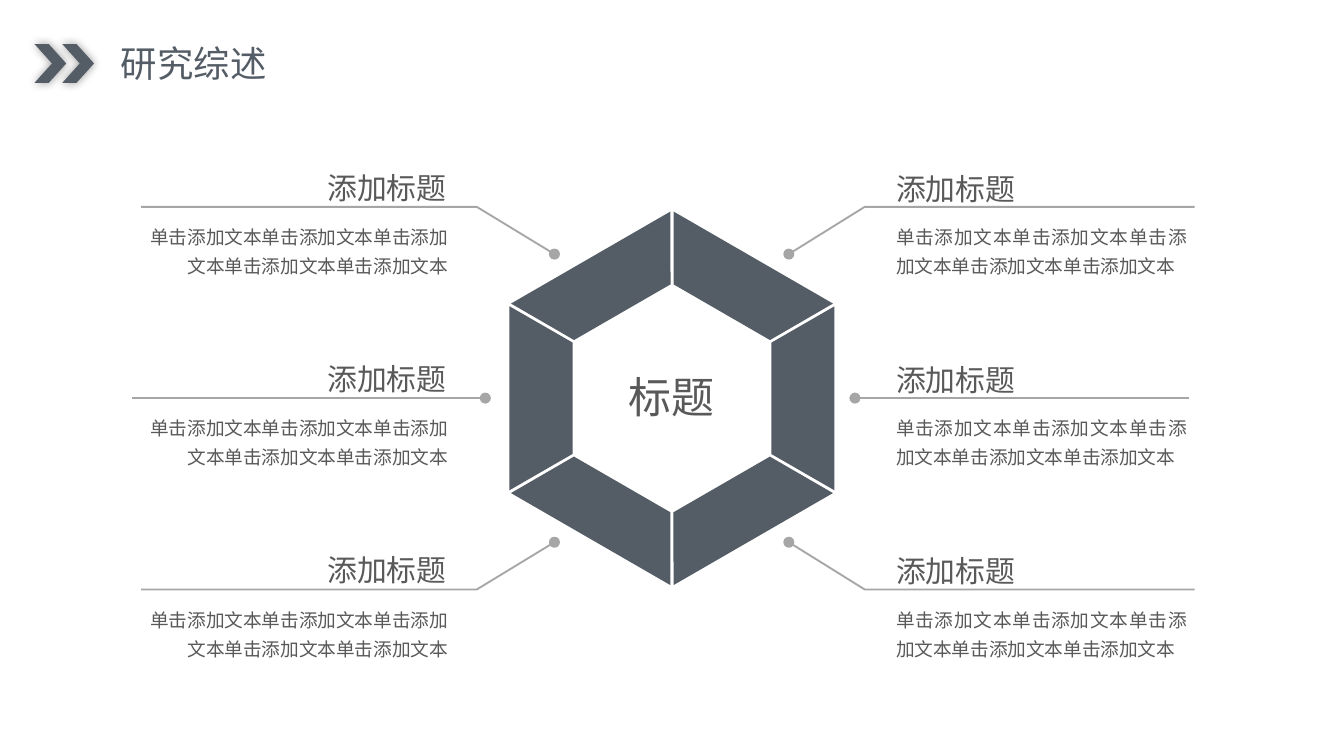
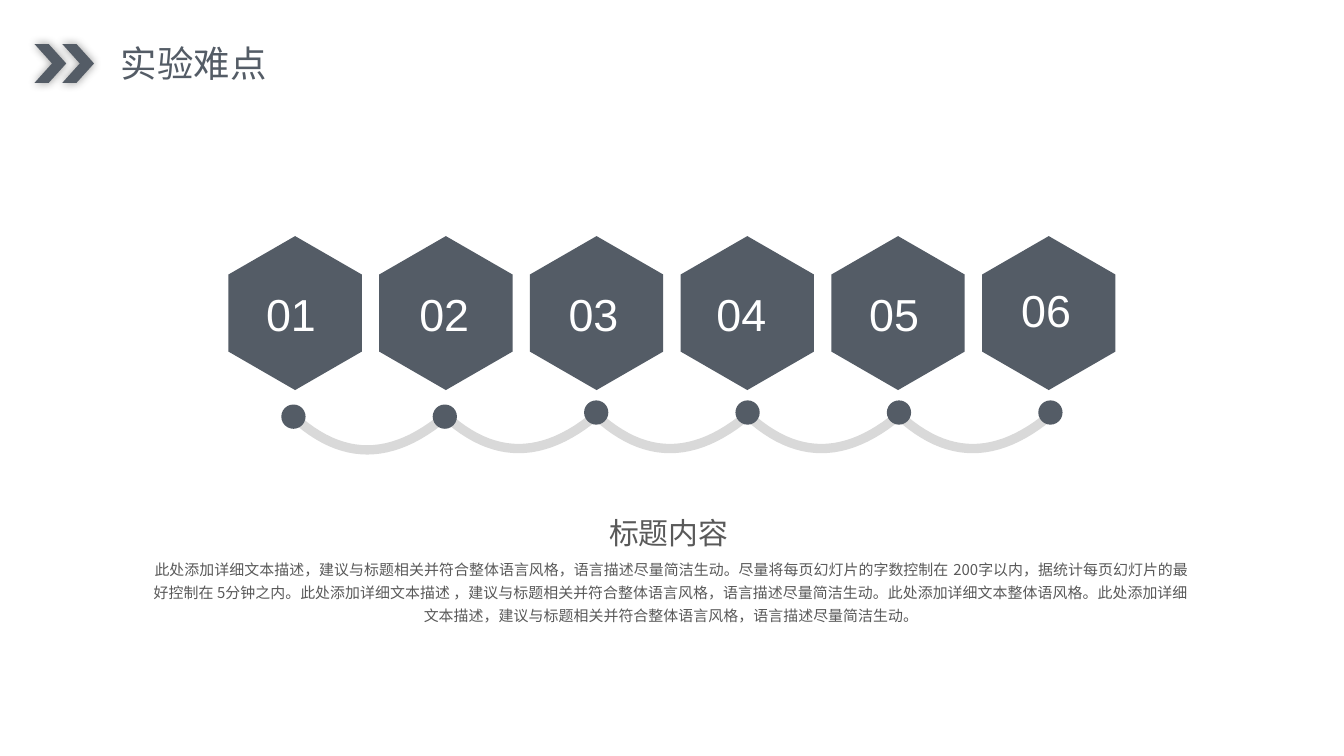
from math import cos, radians, sin

from lxml.etree import SubElement
from pptx import Presentation
from pptx.dml.color import RGBColor
from pptx.enum.shapes import MSO_CONNECTOR as Connector, MSO_SHAPE as Shape
from pptx.enum.text import MSO_ANCHOR as Anchor, MSO_AUTO_SIZE as AutoSize, PP_ALIGN as Align
from pptx.oxml.ns import qn
from pptx.util import Pt

COLORS = {
    "slate": "545C66",
    "text": "595959",
    "leader": "A6A6A6",
    "arc": "D9D9D9",
    "white": "FFFFFF",
    "black": "000000",
}
CJK_FONT = "Noto Sans CJK SC"
DEFAULT_INSETS = (7.2, 3.6)


def add_text(slide, box, text, size, color="text", font=CJK_FONT, align=Align.LEFT,
             spacing=1.0, insets=DEFAULT_INSETS, anchor=Anchor.TOP, wrap=True, grow=True):
    text_frame = slide.shapes.add_textbox(*map(Pt, box)).text_frame
    text_frame.text = text
    text_frame.word_wrap = wrap
    text_frame.auto_size = AutoSize.SHAPE_TO_FIT_TEXT if grow else AutoSize.NONE
    text_frame.vertical_anchor = anchor
    text_frame.margin_left = text_frame.margin_right = Pt(insets[0])
    text_frame.margin_top = text_frame.margin_bottom = Pt(insets[1])
    paragraph = text_frame.paragraphs[0]
    paragraph.alignment = align
    paragraph.line_spacing = spacing
    run = paragraph.runs[0]
    run.font.size = Pt(size)
    run.font.color.rgb = RGBColor.from_string(COLORS[color])
    run.font.name = font
    SubElement(run.font._element, qn("a:ea"), typeface=font)


def add_outline(slide, points, fill=None, line=None, width=1):
    """Draw a closed filled outline, or an open line when no fill is given."""
    points = [(Pt(x), Pt(y)) for x, y in points]
    builder = slide.shapes.build_freeform(*points[0])
    builder.add_line_segments(points[1:], close=fill is not None)
    shape = builder.convert_to_shape()
    shape.shadow.inherit = False
    if fill:
        shape.fill.solid()
        shape.fill.fore_color.rgb = RGBColor.from_string(COLORS[fill])
        shape.line.fill.background()
    else:
        shape.fill.background()
        shape.line.color.rgb = RGBColor.from_string(COLORS[line])
        shape.line.width = Pt(width)
    return shape


presentation = Presentation()
presentation.slide_width = Pt(720)
presentation.slide_height = Pt(405)

# Shared header: two shadowed chevrons and the slide title
slides = []
for title in ("研究综述", "实验难点"):
    slide = presentation.slides.add_slide(presentation.slide_layouts[6])
    slides.append(slide)
    for left in (33.4, 18.5):
        chevron = add_outline(slide, [
            (left + x, y) for x, y in
            ((0, 23.6), (7.6, 23.6), (17, 34), (7.6, 44.4), (0, 44.4), (9.4, 34))
        ], fill="slate")
        effects = chevron._element.spPr.find(qn("a:effectLst"))
        shadow = SubElement(effects, qn("a:outerShdw"), blurRad=str(Pt(5)), dist="0", dir="0",
                            algn="ctr", rotWithShape="0")
        shadow_color = SubElement(shadow, qn("a:srgbClr"), val=COLORS["black"])
        SubElement(shadow_color, qn("a:alpha"), val="40000")
    add_text(slide, (57.6, 18.7, 93.6, 31), title, 19.5, "slate", wrap=False)
review_slide, difficulty_slide = slides

# Slide 1: hexagonal ring of six trapezoids
CENTER_X, CENTER_Y, RING_RADIUS = 360, 213.4, 70.2
PIECE_WIDTH, PIECE_HEIGHT = 98.6, 33.8
for rotation in range(30, 360, 60):
    x = CENTER_X - RING_RADIUS * sin(radians(rotation))
    y = CENTER_Y + RING_RADIUS * cos(radians(rotation))
    piece = review_slide.shapes.add_shape(
        Shape.TRAPEZOID, Pt(x - PIECE_WIDTH / 2), Pt(y - PIECE_HEIGHT / 2),
        Pt(PIECE_WIDTH), Pt(PIECE_HEIGHT))
    piece.adjustments[0] = 0.576
    piece.rotation = rotation
    piece.shadow.inherit = False
    piece.fill.solid()
    piece.fill.fore_color.rgb = RGBColor.from_string(COLORS["slate"])
    piece.line.fill.background()

# Leader lines with a round end, and the texts beside them
# Each side: bent line (start, bend, end), straight line (start, end), boxes (left, width)
SIDES = [
    ((75.6, 255.4, 297), (70.6, 260), (88.6, 157.7), (73.4, 173.5), Align.RIGHT, Align.RIGHT, 0),
    ((640, 463.3, 422.6), (637.2, 458), (473, 154.8), (473, 169.9), Align.LEFT, Align.JUSTIFY, 0.6),
]
ROW_Y, ROW_PITCH = 110.8, 102.5
for bent, straight, heading, body, heading_align, body_align, heading_shift in SIDES:
    for row, slope in enumerate((25.3, 0, -25.3)):
        y = ROW_Y + row * ROW_PITCH
        if slope:
            start, bend, end = bent
            leader = add_outline(review_slide, [(start, y), (bend, y), (end, y + slope)],
                                 line="leader")
        else:
            leader = review_slide.shapes.add_connector(
                Connector.STRAIGHT, Pt(straight[0]), Pt(y), Pt(straight[1]), Pt(y))
            leader.line.color.rgb = RGBColor.from_string(COLORS["leader"])
            leader.line.width = Pt(1)
            SubElement(leader._element.spPr, qn("a:effectLst"))
        SubElement(leader.line._get_or_add_ln(), qn("a:tailEnd"), type="oval")
        add_text(review_slide, (heading[0], y - 21.4 + heading_shift, heading[1], 24.5),
                 "添加标题", 16, align=heading_align, spacing=0.9)
        add_text(review_slide, (body[0], y + 3, body[1], 38.9), "单击添加文本" * 5, 10,
                 align=body_align, spacing=1.3)

add_text(review_slide, (306.7, 198.7, 105.8, 30.2), "标题", 23, align=Align.CENTER,
         spacing=0.9, insets=(5, 2.9))

# Slide 2: hanging arcs between the dots
DOT_X, DOT_PITCH, DOT_SIZE = 157.2, 81.1, 13
STEPS = 24
for index in range(5):
    left = DOT_X + index * DOT_PITCH
    top = 223.2 if index == 0 else 222.5
    curve = []
    for step in range(STEPS + 1):
        t = step / STEPS
        u = 1 - t
        x = left + 3 * u * u * t * 26 + 3 * u * t * t * 52.4 + t ** 3 * DOT_PITCH
        curve.append((x, top + 3 * u * t * 23.8))
    add_outline(difficulty_slide, curve, line="arc", width=5)

# Numbered hexagons
HEXAGON_X, HEXAGON_Y, HEXAGON_PITCH = 122.4, 126.5, 80.75
HEXAGON = [(35.7, 0), (71.4, 20.6), (71.4, 61.9), (35.7, 82.5), (0, 61.9), (0, 20.6)]
LABELS = [(141.1, 151.2), (223.2, 151.2), (303.1, 151.2),
          (382.4, 151.2), (464.2, 151.2), (545.6, 149)]
for index, (label_x, label_y) in enumerate(LABELS):
    left = HEXAGON_X + index * HEXAGON_PITCH
    add_outline(difficulty_slide, [(left + x, HEXAGON_Y + y) for x, y in HEXAGON], fill="slate")
    add_text(difficulty_slide, (label_x, label_y, 40, 33.8), f"{index + 1:02}", 24, "white",
             font="Arial", insets=(1.44, 1.44), anchor=Anchor.MIDDLE, grow=False)

# Dots
for index in range(6):
    center_y = 223.2 if index < 2 else 221
    dot = difficulty_slide.shapes.add_shape(
        Shape.OVAL, Pt(DOT_X + index * DOT_PITCH - DOT_SIZE / 2), Pt(center_y - DOT_SIZE / 2),
        Pt(DOT_SIZE), Pt(DOT_SIZE))
    dot.shadow.inherit = False
    dot.fill.solid()
    dot.fill.fore_color.rgb = RGBColor.from_string(COLORS["slate"])
    dot.line.fill.background()

# Description and its heading
add_text(
    difficulty_slide, (81.4, 297.4, 556.6, 41.8),
    "此处添加详细文本描述，建议与标题相关并符合整体语言风格，语言描述尽量简洁生动。"
    "尽量将每页幻灯片的字数控制在 200字以内，据统计每页幻灯片的最好控制在 5分钟之内。"
    "此处添加详细文本描述 ，建议与标题相关并符合整体语言风格，语言描述尽量简洁生动。"
    "此处添加详细文本整体语风格。"
    "此处添加详细文本描述，建议与标题相关并符合整体语言风格，语言描述尽量简洁生动。",
    8, align=Align.CENTER, spacing=1.3, insets=(0, 0), grow=False)
add_text(difficulty_slide, (312.1, 265.7, 92.2, 29.5), "标题内容", 16, align=Align.CENTER,
         spacing=1.5, insets=(0, 0), anchor=Anchor.MIDDLE, grow=False)

presentation.save("out.pptx")
